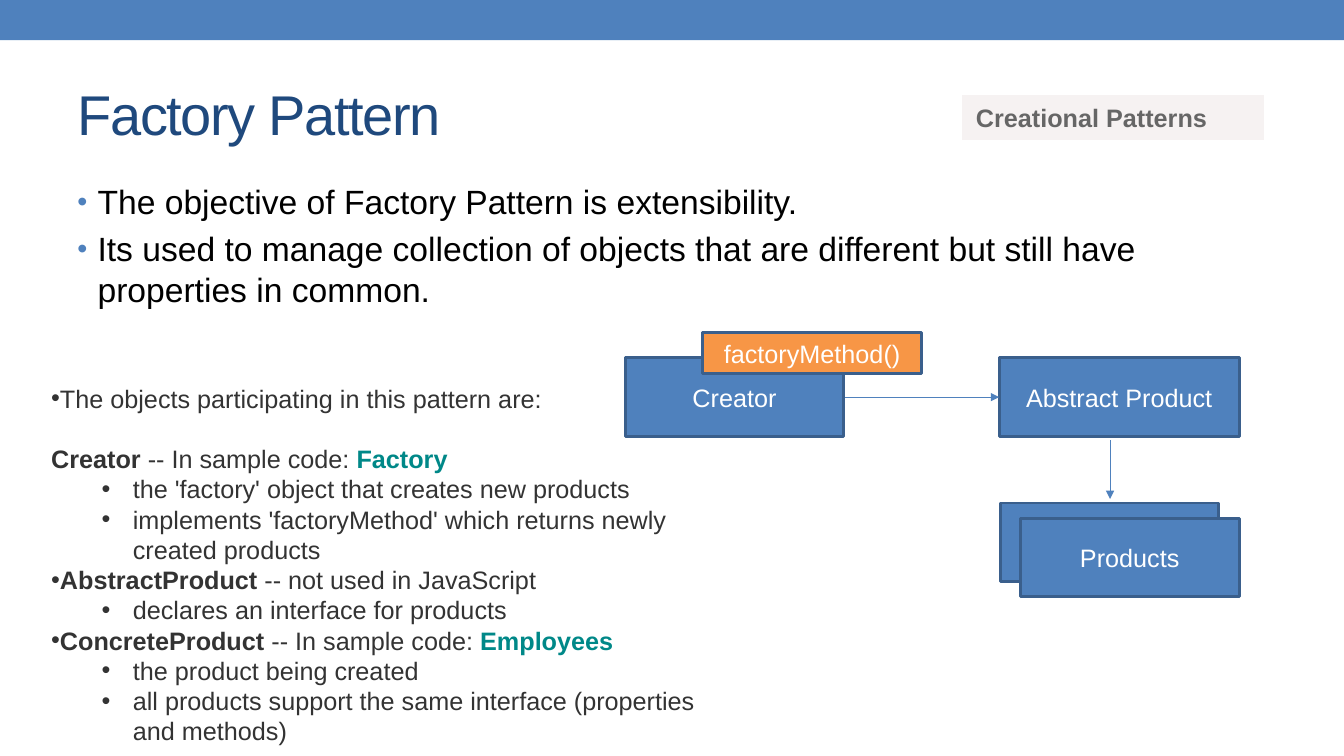
import pptx
import pptx.util
import pptx.dml.color
import pptx.enum.shapes
import pptx.enum.text
import pptx.oxml.ns
from dataclasses import dataclass
from lxml import etree

# Content: runs are (text, style), paragraphs are (kind, runs)
TITLE = "Factory Pattern"
CATEGORY = "Creational Patterns"
OBJECTIVES = [
    ("objective", [("The objective of Factory Pattern is extensibility.", "body")]),
    ("objective", [("Its used to manage collection of objects that are different "
                    "but still have properties in common.", "body")]),
]
PARTICIPANTS = [
    ("item", [("The objects participating in this pattern are:", "note")]),
    ("heading", [("Creator", "strong"), (" -- In sample code: ", "note"),
                 ("Factory", "code")]),
    ("detail", [("the 'factory' object that creates new products", "note")]),
    ("detail", [("implements 'factoryMethod' which returns newly created products",
                 "note")]),
    ("item", [("AbstractProduct", "strong"), (" -- not used in JavaScript", "note")]),
    ("detail", [("declares an interface for products", "note")]),
    ("item", [("ConcreteProduct", "strong"), (" -- In sample code: ", "note"),
              ("Employees", "code")]),
    ("detail", [("the product being created", "note")]),
    ("detail", [("all products support the same interface (properties and methods)",
                 "note")]),
]

# Places in px: left, top, width, height
SCALE = 9144
SLIDE = (1333, 750)
BAR = (0, 0, 1333, 40)
TITLE_AT = (67, 58, 1200, 108)
OBJECTIVES_AT = (67, 175, 1200, 533)
PARTICIPANTS_AT = (41, 375, 667, 375)
CATEGORY_AT = (954, 94, 300, 45)
BOXES = [
    ("Creator", (620, 355, 217, 78), "blue"),
    ("Abstract Product", (991, 355, 238, 78), "blue"),
    ("", (992, 499, 217, 78), "blue"),
    ("Products", (1012, 514, 217, 78), "blue"),
    ("factoryMethod()", (697, 330, 217, 41), "orange"),
]
ARROWS = [(838, 394, 991, 394), (1101, 437, 1101, 495)]


@dataclass(frozen=True)
class Theme:
    font: str = "Arial"
    blue: str = "4F81BD"
    orange: str = "F79646"
    outline: str = "3A5F8C"
    label_fill: str = "F6F2F2"
    outline_width: float = 2.08
    arrow_width: float = 0.75


THEME = Theme()
# size, colour, bold
STYLES = {
    "title": (40, "1F497D", False),
    "body": (24, "000000", False),
    "box": (18, "FFFFFF", False),
    "note": (18, "333333", False),
    "strong": (18, "333333", True),
    "code": (18, "008888", True),
    "label": (18, "666666", True),
}
# margin px, hanging px, space before pt, bullet shown, bullet colour, bullet size %
KINDS = {
    "objective": (20, 20, 4.8, True, THEME.blue, 85),
    "item": (0, 0, 0, True, None, None),
    "heading": (0, 0, 21.6, False, None, None),
    "detail": (81, 31, 0, True, None, None),
}


def px(values):
    return [value * SCALE for value in values]


def rgb(code):
    return pptx.dml.color.RGBColor.from_string(code)


def add_node(parent, tag, **attributes):
    return etree.SubElement(parent, pptx.oxml.ns.qn(tag), **attributes)


def add_span(para, text, style):
    size, colour, bold = STYLES[style]
    span = para.add_run()
    span.text = text
    span.font.name = THEME.font
    span.font.size = pptx.util.Pt(size)
    span.font.bold = bold
    span.font.color.rgb = rgb(colour)
    return span


def format_para(para, kind):
    margin, hanging, before, bulleted, colour, percent = KINDS[kind]
    para.space_before = pptx.util.Pt(before)
    properties = para._p.get_or_add_pPr()
    properties.set("marL", str(margin * SCALE))
    properties.set("indent", str(-hanging * SCALE))
    if colour:
        add_node(add_node(properties, "a:buClr"), "a:srgbClr", val=colour)
    if percent:
        add_node(properties, "a:buSzPct", val=str(percent * 1000))
    if bulleted:
        add_node(properties, "a:buFont", typeface=THEME.font)
        add_node(properties, "a:buChar", char="•")
    else:
        add_node(properties, "a:buNone")


def add_list(page, place, paragraphs):
    frame = page.shapes.add_textbox(*px(place)).text_frame
    frame.word_wrap = True
    for index, (kind, spans) in enumerate(paragraphs):
        para = frame.add_paragraph() if index else frame.paragraphs[0]
        format_para(para, kind)
        for text, style in spans:
            add_span(para, text, style)


def add_box(page, place, fill):
    box = page.shapes.add_shape(pptx.enum.shapes.MSO_SHAPE.RECTANGLE, *px(place))
    box.shadow.inherit = False
    box.fill.solid()
    box.fill.fore_color.rgb = rgb(fill)
    return box


def add_diagram_box(page, text, place, fill):
    box = add_box(page, place, fill)
    box.line.color.rgb = rgb(THEME.outline)
    box.line.width = pptx.util.Pt(THEME.outline_width)
    if text:
        box.text_frame.word_wrap = True
        box.text_frame.vertical_anchor = pptx.enum.text.MSO_ANCHOR.MIDDLE
        para = box.text_frame.paragraphs[0]
        para.alignment = pptx.enum.text.PP_ALIGN.CENTER
        add_span(para, text, "box")


def add_arrow(page, ends):
    arrow = page.shapes.add_connector(
        pptx.enum.shapes.MSO_CONNECTOR.STRAIGHT, *px(ends))
    arrow.line.color.rgb = rgb(THEME.blue)
    arrow.line.width = pptx.util.Pt(THEME.arrow_width)
    add_node(arrow.line._get_or_add_ln(), "a:tailEnd", type="triangle")
    add_node(arrow._element.spPr, "a:effectLst")


def add_title(page):
    title = page.shapes.title
    title.left, title.top, title.width, title.height = px(TITLE_AT)
    title.text_frame.vertical_anchor = pptx.enum.text.MSO_ANCHOR.MIDDLE
    para = title.text_frame.paragraphs[0]
    para.alignment = pptx.enum.text.PP_ALIGN.LEFT
    span = add_span(para, TITLE, "title")
    span.font._element.set("spc", "-100")


def add_category(page):
    table = page.shapes.add_table(1, 1, *px(CATEGORY_AT)).table
    cell = table.cell(0, 0)
    cell.fill.solid()
    cell.fill.fore_color.rgb = rgb(THEME.label_fill)
    cell.margin_left, cell.margin_top, cell.margin_right, cell.margin_bottom = px(
        (14, 10, 10, 5))
    add_span(cell.text_frame.paragraphs[0], CATEGORY, "label")


def main():
    deck = pptx.Presentation()
    deck.slide_width, deck.slide_height = px(SLIDE)
    page = deck.slides.add_slide(deck.slide_layouts.get_by_name("Title Only"))

    # Header and objectives
    add_box(page, BAR, THEME.blue).line.fill.background()
    add_title(page)
    add_list(page, OBJECTIVES_AT, OBJECTIVES)

    # Diagram
    for text, place, fill in BOXES:
        add_diagram_box(page, text, place, getattr(THEME, fill))
    for ends in ARROWS:
        add_arrow(page, ends)

    # Participants and category label
    add_list(page, PARTICIPANTS_AT, PARTICIPANTS)
    add_category(page)
    deck.save("out.pptx")


if __name__ == "__main__":
    main()
